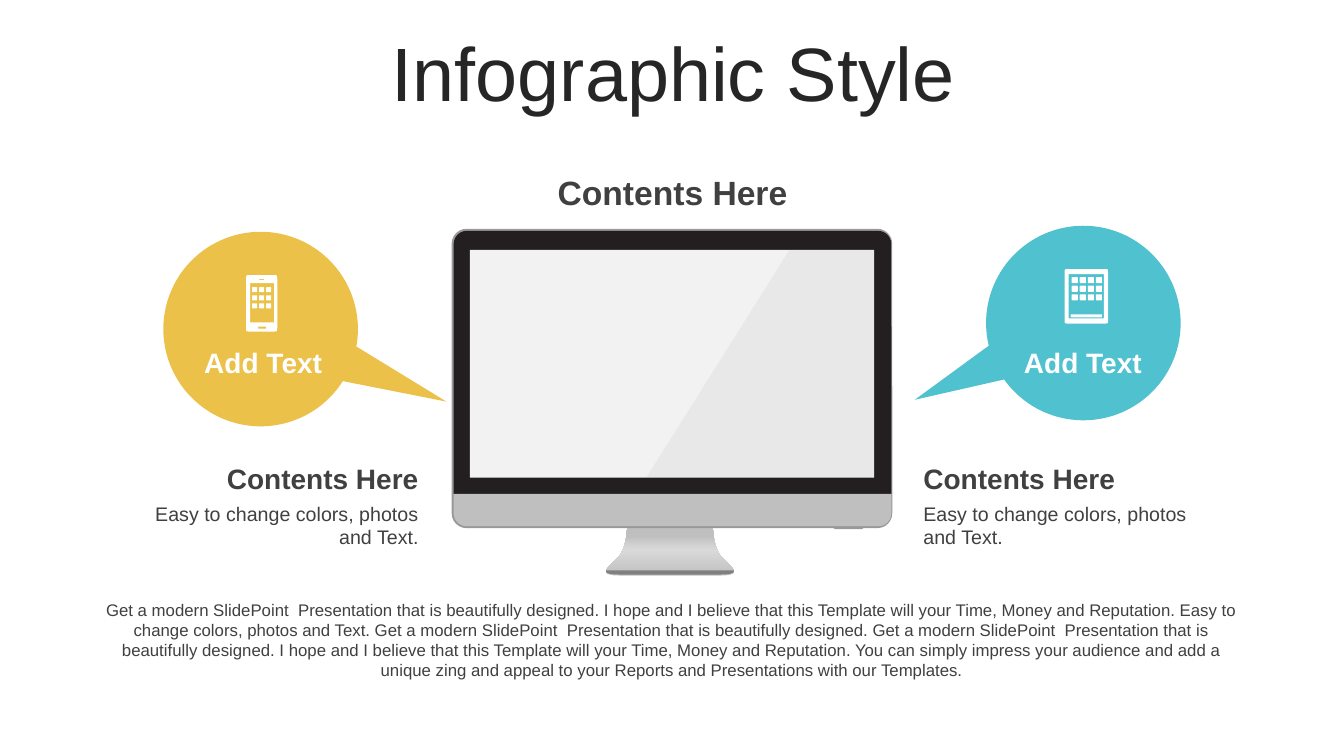
from lxml import etree
from pptx import Presentation
from pptx.dml.color import RGBColor
from pptx.enum import shapes, text
from pptx.oxml import ns
from pptx.util import Inches, Pt

COLORS = {
    "title": "262626", "body": "404040", "white": "FFFFFF",
    "phone": "EBC149", "tablet": "4FC1CF",
    "casing": "999999", "bezel": "231F20", "chin": "BFBFBF",
    "foot": "808080", "screen": "F2F2F2", "highlight": "D9D9D9",
}
FONT = "Arial"
AXIS = 6.645
PRESET = shapes.MSO_SHAPE
ALIGN = text.PP_ALIGN
SUMMARY = (
    "Get a modern SlidePoint  Presentation that is beautifully designed. "
    "I hope and I believe that this Template will your Time, Money and Reputation. "
    "Easy to change colors, photos and Text. "
    "Get a modern SlidePoint  Presentation that is beautifully designed. "
    "Get a modern SlidePoint  Presentation that is beautifully designed. "
    "I hope and I believe that this Template will your Time, Money and Reputation. "
    "You can simply impress your audience and add a unique zing and appeal "
    "to your Reports and Presentations with our Templates."
)


def rgb(name):
    return RGBColor.from_string(COLORS[name])


def paint(shape, color):
    shape.shadow.inherit = False
    shape.line.fill.background()
    shape.fill.solid()
    shape.fill.fore_color.rgb = rgb(color)
    return shape


def write(frame, words, size, color, align, bold=False):
    frame.text = words
    frame.word_wrap = True
    paragraph = frame.paragraphs[0]
    paragraph.alignment = align
    for run in paragraph.runs:
        run.font.name = FONT
        run.font.size = Pt(size)
        run.font.bold = bold
        run.font.color.rgb = rgb(color)


def add_label(slide, box, words, size, color="body", align=ALIGN.CENTER, bold=True):
    label = slide.shapes.add_textbox(*map(Inches, box))
    write(label.text_frame, words, size, color, align, bold)


def add_preset(slide, kind, box, color, adjustments=()):
    shape = slide.shapes.add_shape(kind, *map(Inches, box))
    for index, value in enumerate(adjustments):
        shape.adjustments[index] = value
    return paint(shape, color)


def add_outline(slide, contours, color):
    contours = [[(Inches(x), Inches(y)) for x, y in contour] for contour in contours]
    builder = slide.shapes.build_freeform(*contours[0][0])
    for index, contour in enumerate(contours):
        if index:
            builder.move_to(*contour[0])
        builder.add_line_segments(contour[1:], close=True)
    return paint(builder.convert_to_shape(), color)


def curve(start, bend_a, bend_b, end, steps=10):
    points = []
    for step in range(steps + 1):
        t = step / steps
        weights = ((1 - t) ** 3, 3 * t * (1 - t) ** 2, 3 * t * t * (1 - t), t ** 3)
        points.append(tuple(
            sum(w * p[axis] for w, p in zip(weights, (start, bend_a, bend_b, end)))
            for axis in (0, 1)))
    return points


def mirrored(half):
    return half + [(2 * AXIS - x, y) for x, y in reversed(half)]


def rounded(x, y, w, h, r):
    right, bottom = x + w, y + h
    corners = (
        ((x, y + r), (x, y), (x + r, y)),
        ((right - r, y), (right, y), (right, y + r)),
        ((right, bottom - r), (right, bottom), (right - r, bottom)),
        ((x + r, bottom), (x, bottom), (x, bottom - r)),
    )
    return [p for a, corner, b in corners for p in curve(a, corner, corner, b, 4)]


def app_grid(left, top, columns, rows, pitch_x, pitch_y, width, height):
    return [rounded(left + c * pitch_x, top + r * pitch_y, width, height, 0.01)
            for r in range(rows) for c in range(columns)]


def shade_stand(stand):
    stand.fill.gradient()
    stand.fill.gradient_angle = 90
    stops = stand.fill._fill._gradFill.find(ns.qn("a:gsLst"))
    for stop in list(stops):
        stops.remove(stop)
    for percent, color in ((0, "chin"), (53, "highlight"), (83, "chin"), (100, "chin")):
        stop = etree.SubElement(stops, ns.qn("a:gs"), pos=str(percent * 1000))
        etree.SubElement(stop, ns.qn("a:srgbClr"), val=COLORS[color])


def add_monitor(slide):
    stand = mirrored(
        curve((6.22, 5.23), (6.22, 5.23), (6.22, 5.43), (6.13, 5.53))
        + curve((6.13, 5.53), (6.04, 5.62), (5.9, 5.71), (6.15, 5.71)))
    shade_stand(add_outline(slide, [stand], "chin"))
    add_preset(slide, PRESET.ROUNDED_RECTANGLE, (4.48, 2.27, 4.37, 2.97), "casing", [0.05])
    add_preset(slide, PRESET.ROUND_2_SAME_RECTANGLE, (8.27, 5.22, 0.29, 0.03),
               "casing", [0, 0.5])
    add_preset(slide, PRESET.ROUND_2_SAME_RECTANGLE, (4.5, 2.29, 4.34, 2.61),
               "bezel", [0.05, 0])
    foot = mirrored(curve((6.01, 5.66), (6.01, 5.69), (6.05, 5.7), (6.15, 5.7)))
    add_outline(slide, [foot], "foot")
    add_preset(slide, PRESET.ROUND_2_SAME_RECTANGLE, (4.5, 4.9, 4.34, 0.32),
               "chin", [0, 0.4])
    add_preset(slide, PRESET.RECTANGLE, (4.66, 2.48, 4.01, 2.26), "screen")
    glare = add_outline(
        slide, [[(7.83, 2.48), (8.67, 2.48), (8.67, 4.74), (6.41, 4.74)]], "casing")
    tint = glare.fill._fill._solidFill.find(ns.qn("a:srgbClr"))
    etree.SubElement(tint, ns.qn("a:alpha"), val="10000")


def add_bubble(slide, left, top, color, tip):
    bubble = add_preset(slide, PRESET.OVAL_CALLOUT, (left, top, 1.93, 1.93), color, tip)
    bubble.rotation = 31.4


def add_phone(slide):
    add_outline(slide, [
        rounded(2.44, 2.73, 0.31, 0.56, 0.04),
        rounded(2.48, 2.81, 0.24, 0.39, 0),
        rounded(2.57, 2.77, 0.05, 0.01, 0),
        rounded(2.56, 3.24, 0.08, 0.02, 0),
        *app_grid(2.5, 2.85, 3, 3, 0.07, 0.08, 0.05, 0.05),
    ], "white")


def add_tablet(slide):
    add_outline(slide, [
        rounded(10.56, 2.67, 0.43, 0.54, 0.03),
        rounded(10.6, 2.72, 0.35, 0.44, 0),
        rounded(10.62, 3.12, 0.31, 0.03, 0),
        *app_grid(10.63, 2.75, 4, 3, 0.08, 0.085, 0.06, 0.06),
    ], "white")


def add_side(slide, left, width, align):
    add_label(slide, (left, 4.53, width, 0.44), "Contents Here", 20, align=align)
    add_label(slide, (left, 4.93, width, 0.57), "Easy to change colors, photos and Text.",
              14, align=align, bold=False)


def add_title(slide):
    title = slide.shapes.title
    title.left, title.top, title.width, title.height = map(Inches, (0.35, 0.37, 12.66, 0.79))
    frame = title.text_frame
    write(frame, "Infographic Style", 54, "title", ALIGN.CENTER)
    frame.auto_size = text.MSO_AUTO_SIZE.NONE
    frame.vertical_anchor = text.MSO_ANCHOR.MIDDLE
    frame.paragraphs[0].line_spacing = 0.9


def main():
    deck = Presentation()
    deck.slide_width, deck.slide_height = Inches(13.33), Inches(7.5)
    slide = deck.slides.add_slide(deck.slide_layouts[5])
    add_title(slide)
    add_monitor(slide)
    add_bubble(slide, 9.78, 2.24, "tablet", (-0.534, 0.788))
    add_bubble(slide, 1.62, 2.3, "phone", (1.009, -0.179))
    for left in (1.8, 9.93):
        add_label(slide, (left, 3.38, 1.62, 0.44), "Add Text", 20, "white")
    add_side(slide, 1.39, 2.86, ALIGN.RIGHT)
    add_side(slide, 9.06, 2.88, ALIGN.LEFT)
    add_label(slide, (5.11, 1.66, 3.12, 0.5), "Contents Here", 24)
    add_label(slide, (0.95, 5.9, 11.43, 0.91), SUMMARY, 12, bold=False)
    add_tablet(slide)
    add_phone(slide)
    deck.save("out.pptx")


if __name__ == "__main__":
    main()
